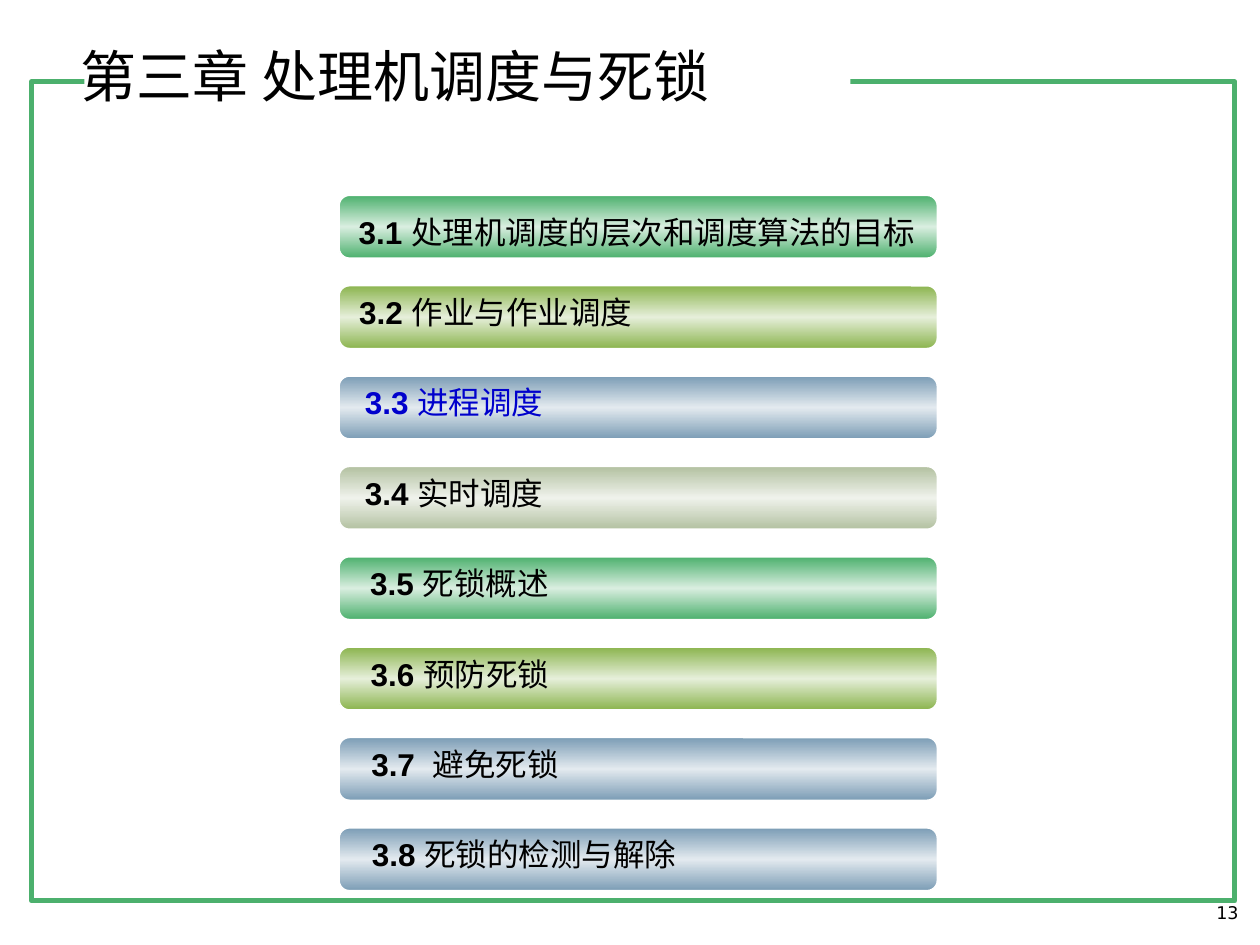
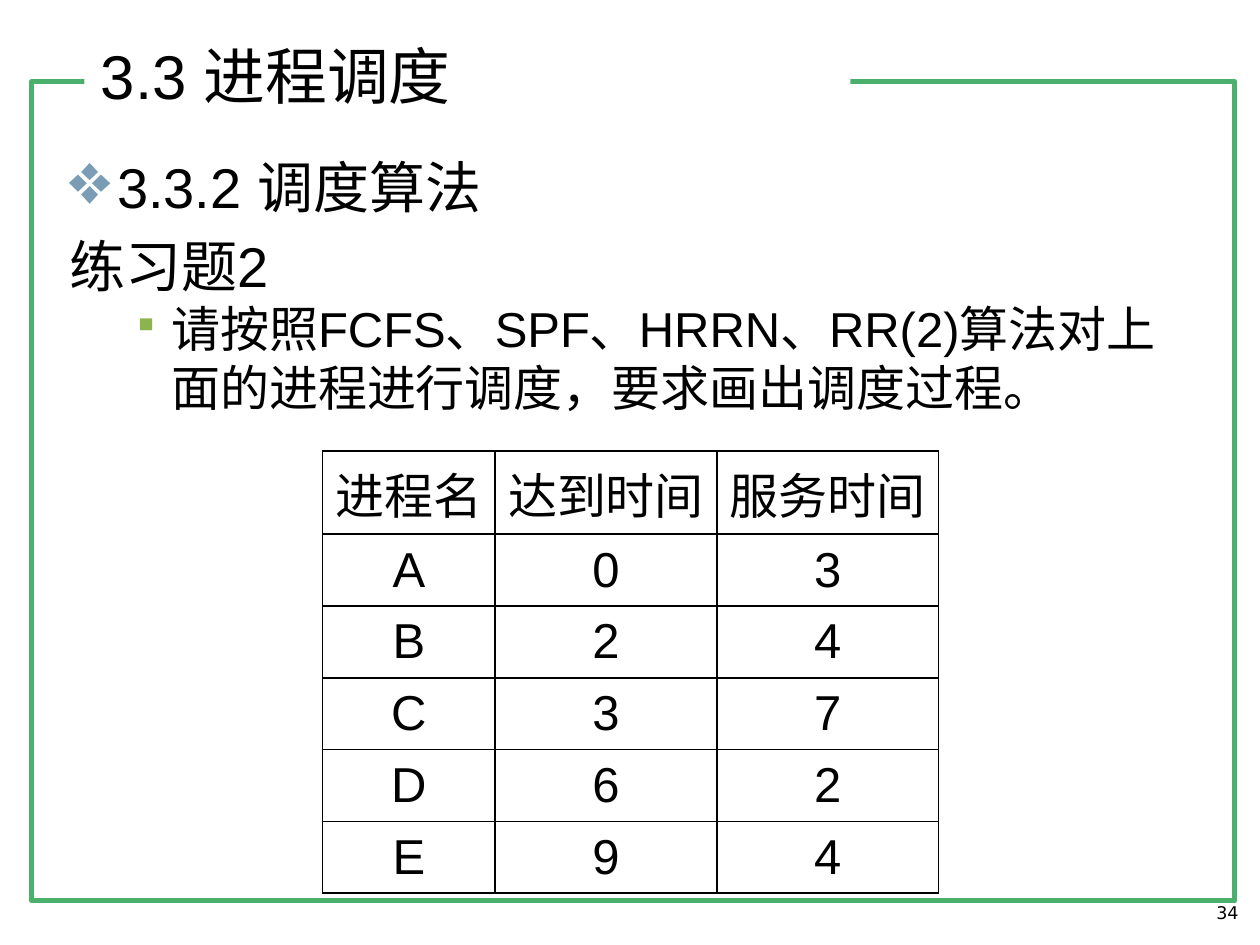
"""Build two slides on processor scheduling: the chapter contents and an exercise."""
from copy import deepcopy
from dataclasses import dataclass

from lxml.etree import SubElement
from pptx import Presentation
from pptx.dml.color import RGBColor as Color
from pptx.enum.shapes import MSO_SHAPE as Shape
from pptx.enum.text import MSO_ANCHOR as Anchor, PP_ALIGN as Align
from pptx.oxml.ns import qn
from pptx.util import Inches, Pt


@dataclass(frozen=True)
class Theme:
    green: str = "4CB06D"
    lime: str = "8BB44E"
    steel: str = "7B9CB5"
    sage: str = "B3C1A1"
    black: str = "000000"
    white: str = "FFFFFF"
    current: str = "0000CC"
    latin: str = "Arial"
    chinese: str = "Noto Sans CJK SC"
    number_font: str = "DejaVu Sans"
    heading: float = 32
    section_title: float = 35.3
    body: float = 28
    entry: float = 18
    page_number: float = 10


theme = Theme()
light_tints = {theme.green: "D9EEE0", theme.lime: "E6EFDA",
               theme.steel: "E3EAEF", theme.sage: "EFF2EB"}


def write(paragraph, text, size, color=theme.black, align=Align.LEFT, latin=theme.latin, bold_lead=""):
    if bold_lead:
        lead = paragraph.add_run()
        lead.text = bold_lead
        lead.font.bold = True
    paragraph.add_run().text = text
    paragraph.alignment = align
    paragraph.font.size = Pt(size)
    paragraph.font.name = latin
    paragraph.font.color.rgb = Color.from_string(color)
    properties = paragraph._p.pPr.find(qn("a:defRPr"))
    SubElement(properties, qn("a:ea"), typeface=theme.chinese)


def add_text_frame(slide, left, top, width, height, anchor=Anchor.TOP):
    box = slide.shapes.add_textbox(Inches(left), Inches(top), Inches(width), Inches(height))
    frame = box.text_frame
    frame.word_wrap = True
    frame.vertical_anchor = anchor
    frame.margin_left = frame.margin_right = Inches(0.05)
    frame.margin_top = frame.margin_bottom = Inches(0.05)
    return frame


presentation = Presentation()
presentation.slide_width = Inches(10)
presentation.slide_height = Inches(7.5)

pages = [
    ("第三章 处理机调度与死锁", theme.heading, 0.59, "13"),
    ("3.3 进程调度", theme.section_title, 0.75, "34"),
]
slides = []
for title, title_size, title_left, number in pages:
    slide = presentation.slides.add_slide(presentation.slide_layouts[6])
    slides.append(slide)

    border = slide.shapes.add_shape(Shape.RECTANGLE, Inches(0.25), Inches(0.65), Inches(9.55), Inches(6.5))
    border.shadow.inherit = False
    border.fill.background()
    border.line.color.rgb = Color.from_string(theme.green)
    border.line.width = Pt(3)

    title_gap = slide.shapes.add_shape(Shape.RECTANGLE, Inches(0.67), Inches(0.21), Inches(6.08), Inches(1.19))
    title_gap.shadow.inherit = False
    title_gap.fill.solid()
    title_gap.fill.fore_color.rgb = Color.from_string(theme.white)
    title_gap.line.fill.background()

    number_frame = add_text_frame(slide, 7.55, 7.11, 2.33, 0.27)
    write(number_frame.paragraphs[0], number, theme.page_number, align=Align.RIGHT, latin=theme.number_font)
    title_frame = add_text_frame(slide, title_left, 0.21, 5.51, 0.77, Anchor.MIDDLE)
    write(title_frame.paragraphs[0], title, title_size)

contents_slide, exercise_slide = slides

entries = [
    ("3.1 ", "处理机调度的层次和调度算法的目标", theme.green, 2.69, 4.73, Align.CENTER),
    ("3.2 ", "作业与作业调度", theme.lime, 2.8, 3.75, Align.LEFT),
    ("3.3 ", "进程调度", theme.steel, 2.24, 2.73, Align.CENTER),
    ("3.4 ", "实时调度", theme.sage, 2.4, 2.41, Align.CENTER),
    ("3.5 ", "死锁概述", theme.green, 1.77, 3.75, Align.CENTER),
    ("3.6 ", "预防死锁", theme.lime, 2.09, 3.12, Align.CENTER),
    ("3.7  ", "避免死锁", theme.steel, 2.09, 3.2, Align.CENTER),
    ("3.8 ", "死锁的检测与解除", theme.steel, 2.56, 3.2, Align.CENTER),
]
first_top, last_top = 1.55, 6.57
pitch = (last_top - first_top) / (len(entries) - 1)
for index, (number, name, color, label_left, label_width, label_align) in enumerate(entries):
    top = first_top + index * pitch
    bar = contents_slide.shapes.add_shape(Shape.ROUNDED_RECTANGLE, Inches(2.69), Inches(top),
                                          Inches(4.75), Inches(0.5))
    bar.shadow.inherit = False
    bar.line.color.rgb = Color.from_string(theme.white)
    bar.line.width = Pt(1)
    bar.fill.gradient()
    bar.fill.gradient_angle = 270
    stop_list = bar._element.spPr.find(".//" + qn("a:gsLst"))
    stop_list.append(deepcopy(stop_list[0]))
    stop_colors = (color, light_tints[color], color)
    for stop, position, stop_color in zip(bar.fill.gradient_stops, (0, 0.5, 1), stop_colors):
        stop.position = position
        stop.color.rgb = Color.from_string(stop_color)

    label_drop = 0.09 if index == 0 else 0.01
    label_frame = add_text_frame(contents_slide, label_left, top + label_drop, label_width, 0.45)
    write(label_frame.paragraphs[0], name, theme.entry,
          color=theme.current if name == "进程调度" else theme.black,
          align=label_align, bold_lead=number)

body_lines = [
    ("3.3.2 调度算法", theme.heading, 0.38, -0.38, 0, ("❖", theme.steel, 130)),
    ("练习题2", theme.heading, 0.38, -0.38, 7, None),
    ("请按照FCFS、SPF、HRRN、RR(2)算法对上面的进程进行调度，要求画出调度过程。",
     theme.body, 0.81, -0.31, 0, ("▪", theme.lime, 75)),
]
body_frame = add_text_frame(exercise_slide, 0.5, 1.16, 8.99, 5.74)
for index, (text, size, margin, indent, space, bullet) in enumerate(body_lines):
    paragraph = body_frame.add_paragraph() if index else body_frame.paragraphs[0]
    properties = paragraph._p.get_or_add_pPr()
    properties.set("marL", str(Inches(margin)))
    properties.set("indent", str(Inches(indent)))
    if bullet:
        mark, mark_color, mark_percent = bullet
        SubElement(SubElement(properties, qn("a:buClr")), qn("a:srgbClr"), val=mark_color)
        SubElement(properties, qn("a:buSzPct"), val=str(mark_percent * 1000))
        SubElement(properties, qn("a:buChar"), char=mark)
    if space:
        paragraph.space_before = Pt(space)
    write(paragraph, text, size)

processes = [
    ("进程名", "达到时间", "服务时间"),
    ("A", "0", "3"),
    ("B", "2", "4"),
    ("C", "3", "7"),
    ("D", "6", "2"),
    ("E", "9", "4"),
]
column_widths = (1.37, 1.76, 1.76)
row_heights = [0.66] + [0.57] * 5
table = exercise_slide.shapes.add_table(len(processes), len(column_widths), Inches(2.56), Inches(3.58),
                                        Inches(sum(column_widths)), Inches(sum(row_heights))).table
table.first_row = table.horz_banding = False
for column, width in zip(table.columns, column_widths):
    column.width = Inches(width)
for row, height, values in zip(table.rows, row_heights, processes):
    row.height = Inches(height)
    for cell, value in zip(row.cells, values):
        cell.vertical_anchor = Anchor.MIDDLE
        cell.margin_left = cell.margin_right = Inches(0.05)
        cell.margin_top = cell.margin_bottom = Inches(0.05)
        write(cell.text_frame.paragraphs[0], value, theme.body, align=Align.CENTER)
        cell_properties = cell._tc.get_or_add_tcPr()
        for side in ("a:lnL", "a:lnR", "a:lnT", "a:lnB"):
            edge = SubElement(cell_properties, qn(side), w=str(Pt(1)))
            SubElement(SubElement(edge, qn("a:solidFill")), qn("a:srgbClr"), val=theme.black)
        cell.fill.background()

presentation.save("out.pptx")
